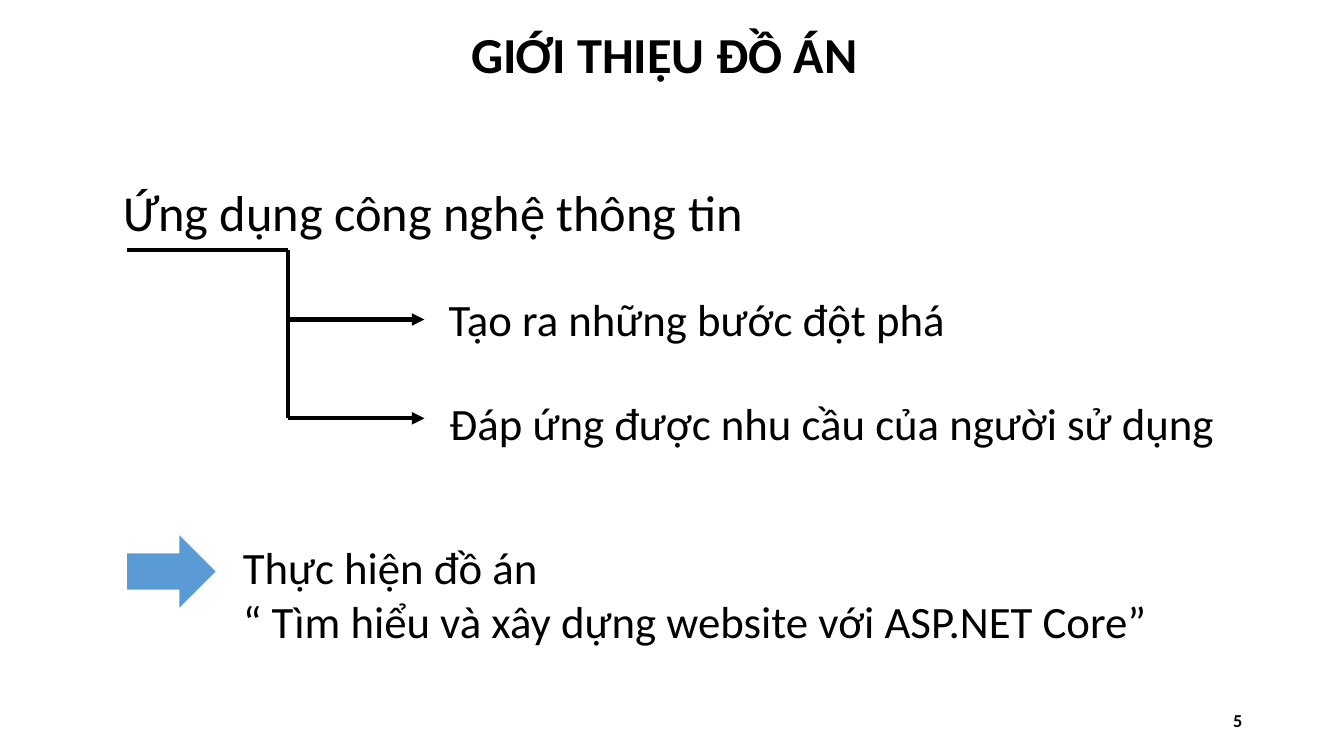
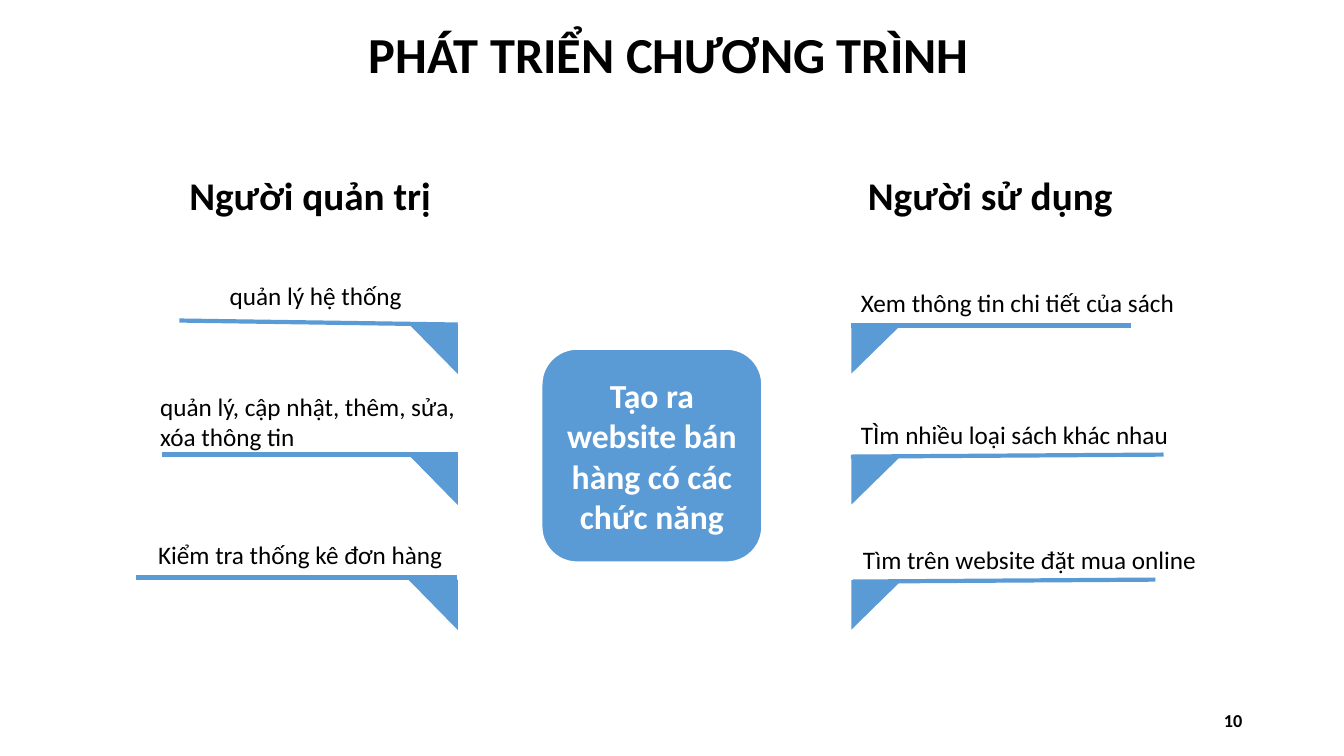
"""Build two slides on a web project: its aim and its functions."""
from dataclasses import dataclass
from typing import NamedTuple

from lxml import etree
from pptx import Presentation
from pptx.dml.color import RGBColor
from pptx.enum.shapes import MSO_CONNECTOR, MSO_SHAPE
from pptx.enum.text import MSO_ANCHOR, PP_ALIGN
from pptx.oxml.ns import qn
from pptx.shapes.autoshape import Shape
from pptx.slide import Slide
from pptx.text.text import TextFrame
from pptx.util import Inches, Pt

LEFT, CENTER, RIGHT = PP_ALIGN.LEFT, PP_ALIGN.CENTER, PP_ALIGN.RIGHT
TOP, MIDDLE = MSO_ANCHOR.TOP, MSO_ANCHOR.MIDDLE
ARROW, ROUND = MSO_SHAPE.RIGHT_ARROW, MSO_SHAPE.ROUNDED_RECTANGLE
CORNER = MSO_SHAPE.RIGHT_TRIANGLE
STRAIGHT = MSO_CONNECTOR.STRAIGHT


@dataclass(frozen=True)
class Theme:
    """Colours, font and sizes in points."""
    font: str = "Calibri"
    ink: RGBColor = RGBColor(0x00, 0x00, 0x00)
    blue: RGBColor = RGBColor(0x5B, 0x9B, 0xD5)
    white: RGBColor = RGBColor(0xFF, 0xFF, 0xFF)
    title: int = 36
    body: int = 32
    head: int = 28
    hub: int = 24
    note: int = 18
    page: int = 13
    rule: float = 3
    edge: float = 1.5


class Box(NamedTuple):
    """Left, top, width and height in inches."""
    left: float
    top: float
    width: float
    height: float


class Point(NamedTuple):
    """A place on the slide in inches."""
    x: float
    y: float


@dataclass(frozen=True)
class Style:
    """Look of a block of text."""
    size: int
    bold: bool = False
    align: PP_ALIGN = LEFT
    anchor: MSO_ANCHOR = TOP
    gap: float = 1.0
    color: RGBColor = Theme.ink


@dataclass(frozen=True)
class Label:
    """Lines of text in a box."""
    lines: tuple[str, ...]
    box: Box
    style: Style


@dataclass(frozen=True)
class Task:
    """A function of the site with its rule, from outer to inner end."""
    text: str
    box: Box
    outer: Point
    inner: Point


@dataclass(frozen=True)
class Side:
    """A group of tasks on one side of the hub."""
    head: Label
    edge: float
    turn: int
    tasks: tuple[Task, ...]


THEME = Theme()
TITLE = Style(THEME.title, bold=True)
LEAD = Style(THEME.title)
BODY = Style(THEME.body)
WIDE = Style(THEME.body, gap=1.5)
HEAD = Style(THEME.head, bold=True)
HUB = Style(THEME.hub, True, CENTER, MIDDLE, color=THEME.white)
NOTE = Style(THEME.note)
PAGE = Style(THEME.page, True, RIGHT, MIDDLE)

FOOT = Box(9.42, 6.95, 3, 0.4)
STEM, START, TIP = 2.86, 1.26, 4.21
LEVELS = (3.17, 4.15)
BASE = 2.48
TIPS = (3.21, 4.51, 5.75)

POINTS = (
    Label(("Ứng dụng công nghệ thông tin",), Box(1.13, 1.75, 6.9, 1.31), LEAD),
    Label(("Tạo ra những bước đột phá",), Box(4.35, 2.58, 5.28, 0.83), WIDE),
    Label(("Đáp ứng được nhu cầu của người sử dụng",),
          Box(4.36, 3.61, 8.06, 0.83), WIDE),
    Label(("Thực hiện đồ án",
           "“ Tìm hiểu và xây dựng website với ASP.NET Core”"),
          Box(2.31, 5.31, 10.43, 1.18), BODY),
)

SIDES = (
    Side(Label(("Người quản trị",), Box(1.78, 1.65, 2.8, 0.57), HEAD), 4.05, 180, (
        Task("quản lý hệ thống", Box(2.18, 2.73, 1.96, 0.4),
             Point(1.78, 3.18), Point(4.54, 3.22)),
        Task("quản lý, cập nhật, thêm, sửa, xóa thông tin",
             Box(1.49, 3.83, 3.17, 0.71), Point(1.61, 4.51), Point(4.54, 4.51)),
        Task("Kiểm tra thống kê đơn hàng", Box(1.47, 5.3, 3.07, 0.4),
             Point(1.35, 5.73), Point(4.53, 5.73)),
    )),
    Side(Label(("Người sử dụng",), Box(8.51, 1.65, 2.8, 0.57), HEAD), 8.45, 90, (
        Task("Xem thông tin chi tiết của sách", Box(8.44, 2.8, 3.34, 0.4),
             Point(11.22, 3.23), Point(8.44, 3.23)),
        Task("TÌm nhiều loại sách khác nhau", Box(8.44, 4.11, 3.37, 0.4),
             Point(11.54, 4.51), Point(8.44, 4.53)),
        Task("Tìm trên website đặt mua online", Box(8.46, 5.35, 3.81, 0.4),
             Point(11.46, 5.75), Point(8.46, 5.77)),
    )),
)


def write(frame: TextFrame, lines: tuple[str, ...], style: Style) -> None:
    """Fill a frame with one paragraph for each line."""
    frame.word_wrap = True
    frame.vertical_anchor = style.anchor
    for i, line in enumerate(lines):
        para = frame.add_paragraph() if i else frame.paragraphs[0]
        para.alignment = style.align
        para.line_spacing = style.gap
        run = para.add_run()
        run.text = line
        font = run.font
        font.name, font.size, font.bold = THEME.font, Pt(style.size), style.bold
        font.color.rgb = style.color


def add_text(slide: Slide, label: Label) -> None:
    """Add a text box."""
    area = slide.shapes.add_textbox(*map(Inches, label.box))
    write(area.text_frame, label.lines, label.style)


def add_form(slide: Slide, kind: MSO_SHAPE, box: Box) -> Shape:
    """Add a flat blue shape."""
    form = slide.shapes.add_shape(kind, *map(Inches, box))
    form.shadow.inherit = False
    form.fill.solid()
    form.fill.fore_color.rgb = THEME.blue
    form.line.fill.background()
    return form


def add_line(slide: Slide, start: Point, end: Point, color: RGBColor,
             arrow: bool = False) -> None:
    """Add a straight line, with an arrowhead at its end if asked."""
    line = slide.shapes.add_connector(STRAIGHT, *map(Inches, (*start, *end)))
    line.line.color.rgb = color
    line.line.width = Pt(THEME.rule)
    props = line.element.spPr
    if arrow:
        stroke = props.find(qn("a:ln"))
        etree.SubElement(stroke, qn("a:tailEnd"), type="triangle")
    etree.SubElement(props, qn("a:effectLst"))


def add_page(deck: Presentation, title: str, box: Box, page: str) -> Slide:
    """Add a blank slide with a title and a page number."""
    slide = deck.slides.add_slide(deck.slide_layouts[6])
    add_text(slide, Label((title,), box, TITLE))
    add_text(slide, Label((page,), FOOT, PAGE))
    return slide


def draw_intro(deck: Presentation) -> None:
    """Draw the aim of the project as a small tree."""
    slide = add_page(deck, "GIỚI THIỆU ĐỒ ÁN", Box(4.58, 0.18, 4.18, 0.71), "5")
    for label in POINTS:
        add_text(slide, label)
    add_form(slide, ARROW, Box(START, 5.31, 0.88, 0.72))
    top = Point(STEM, BASE)
    add_line(slide, Point(START, BASE), top, THEME.ink)
    add_line(slide, top, Point(STEM, LEVELS[-1]), THEME.ink)
    for y in LEVELS:
        add_line(slide, Point(STEM, y), Point(TIP, y), THEME.ink, arrow=True)


def draw_tasks(deck: Presentation) -> None:
    """Draw the functions on both sides of the hub."""
    slide = add_page(deck, "PHÁT TRIỂN CHƯƠNG TRÌNH",
                     Box(3.56, 0.18, 6.2, 0.71), "10")
    hub = add_form(slide, ROUND, Box(5.37, 3.46, 2.19, 2.12))
    hub.line.color.rgb = THEME.white
    hub.line.width = Pt(THEME.edge)
    write(hub.text_frame, ("Tạo ra website bán hàng có các chức năng",), HUB)
    for side in SIDES:
        add_text(slide, side.head)
        for task, top in zip(side.tasks, TIPS):
            add_line(slide, task.outer, task.inner, THEME.blue)
            add_text(slide, Label((task.text,), task.box, NOTE))
            flag = add_form(slide, CORNER, Box(side.edge, top, 0.49, 0.5))
            flag.rotation = side.turn


def main() -> None:
    """Build and save the deck."""
    deck = Presentation()
    deck.slide_width, deck.slide_height = Inches(13.33), Inches(7.5)
    draw_intro(deck)
    draw_tasks(deck)
    deck.save("out.pptx")


if __name__ == "__main__":
    main()
